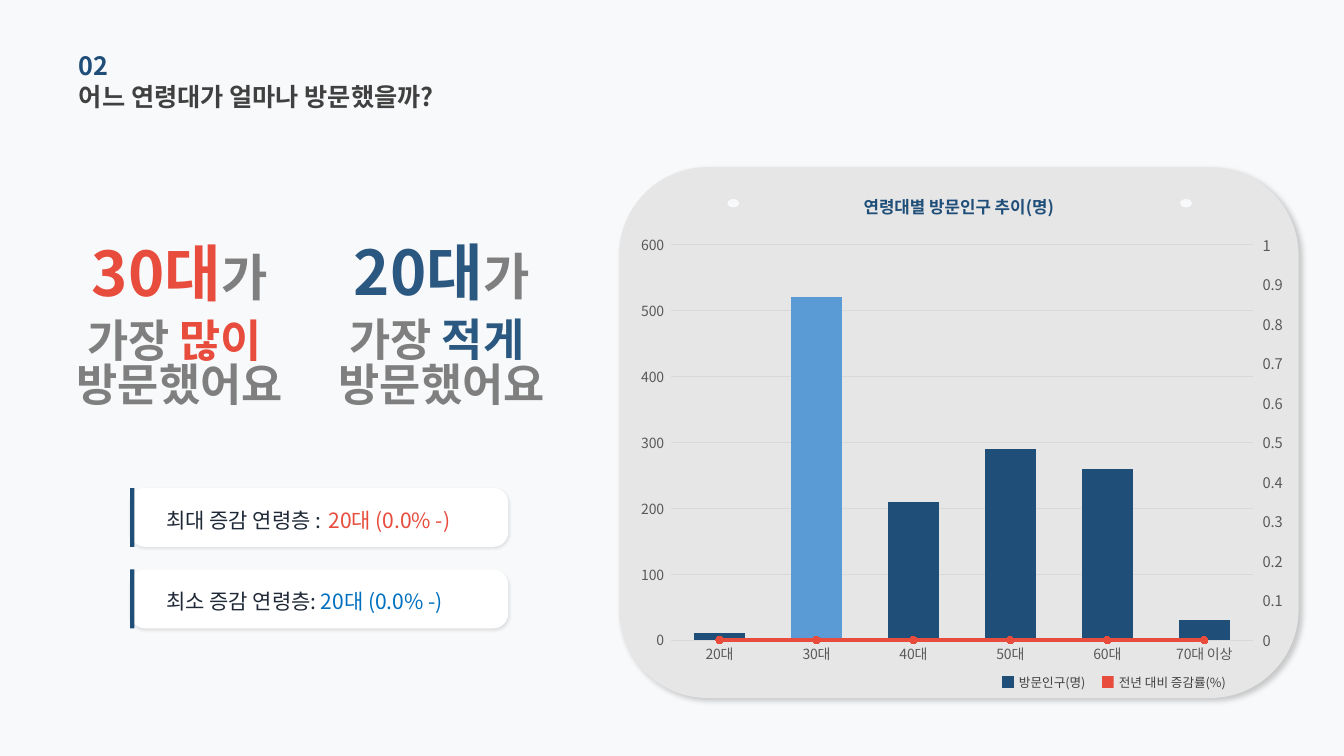
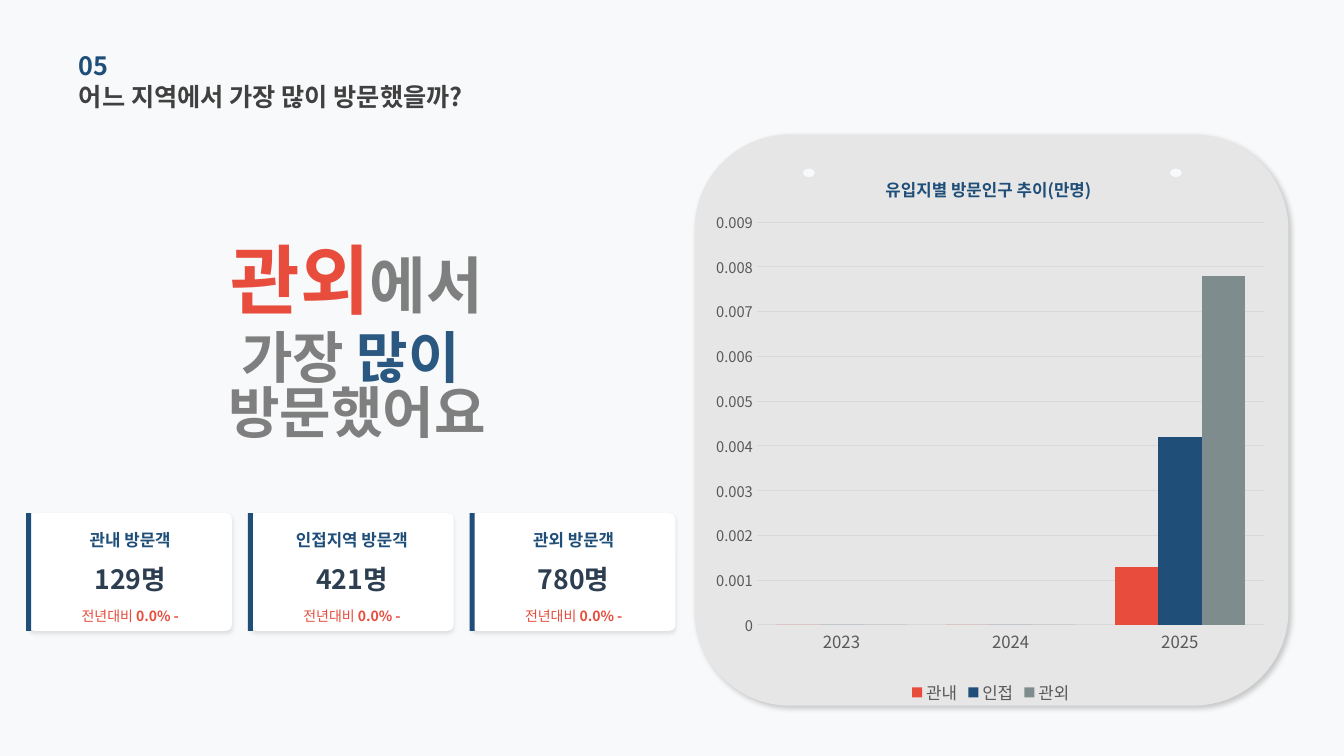
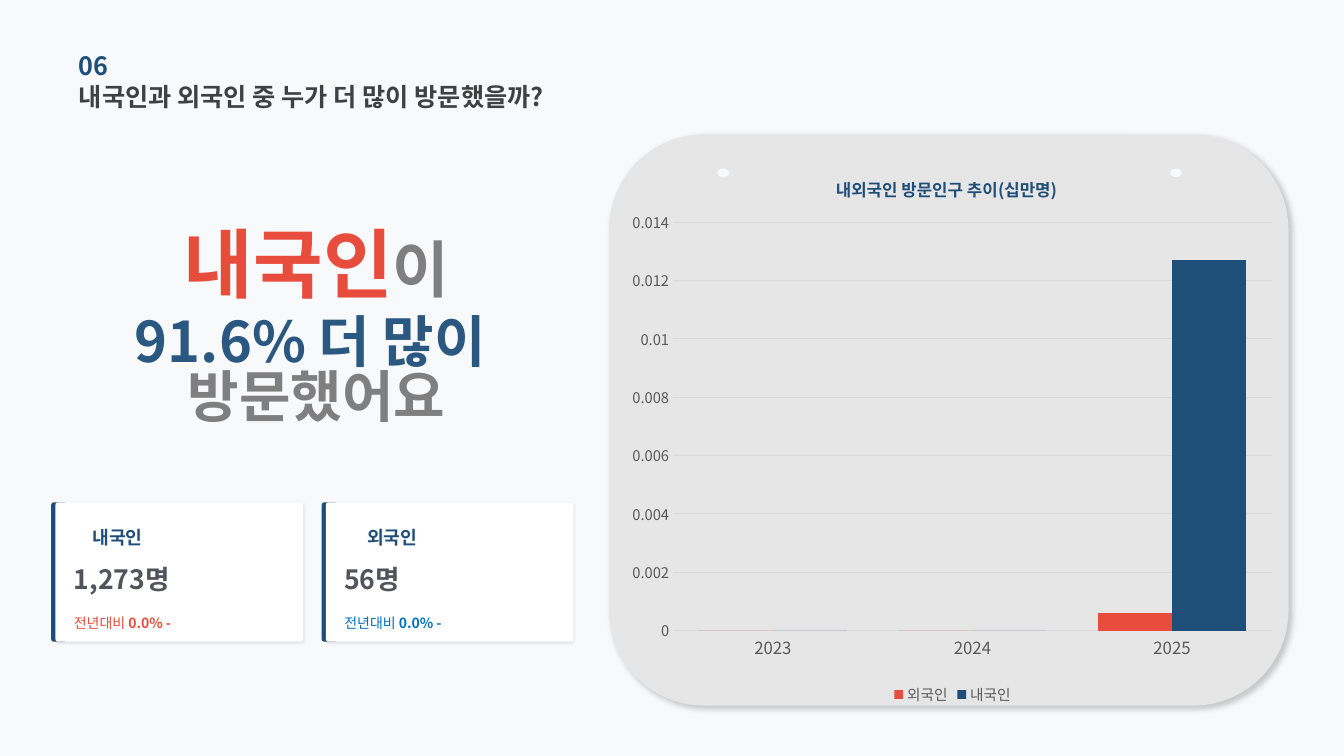
from dataclasses import dataclass

from lxml.etree import SubElement
from pptx import Presentation
from pptx.chart.axis import ValueAxis
from pptx.chart.data import CategoryChartData
from pptx.dml.color import RGBColor
from pptx.enum.chart import XL_CHART_TYPE, XL_LEGEND_POSITION, XL_MARKER_STYLE, XL_TICK_MARK
from pptx.enum.shapes import MSO_SHAPE
from pptx.enum.text import MSO_ANCHOR, MSO_AUTO_SIZE, PP_ALIGN
from pptx.oxml import parse_xml
from pptx.oxml.ns import nsdecls, qn
from pptx.util import Emu, Inches, Pt


@dataclass(frozen=True)
class Theme:
    """Colours, type sizes and font of the deck."""
    font: str = "Noto Sans CJK KR"
    page: str = "F8F9FA"
    panel: str = "E7E6E6"
    white: str = "FFFFFF"
    navy: str = "1F4E79"
    steel: str = "2B5880"
    sky: str = "5B9BD5"
    blue: str = "0070C0"
    red: str = "E74C3C"
    slate: str = "7F8C8D"
    title: str = "404040"
    gray: str = "7F7F7F"
    ink: str = "1F2937"
    count: str = "2C3E50"
    count_soft: str = "51545A"
    axis: str = "595959"
    rule: str = "D9D9D9"
    title_size: float = 18
    count_size: float = 19
    fact_size: float = 15
    label_size: float = 13
    small_label_size: float = 12
    change_size: float = 10
    legend_size: float = 9


THEME = Theme()
COLUMNS, ROWS = 160, 90
SLIDE_WIDTH, SLIDE_HEIGHT = Inches(13.333), Inches(7.5)


@dataclass(frozen=True)
class Box:
    """An area in columns and rows of the slide grid."""
    col: float
    row: float
    cols: float
    rows: float

    def emu(self) -> tuple[Emu, Emu, Emu, Emu]:
        """Return left, top, width and height."""
        across, down = SLIDE_WIDTH / COLUMNS, SLIDE_HEIGHT / ROWS
        return (Emu(round(self.col * across)), Emu(round(self.row * down)),
                Emu(round(self.cols * across)), Emu(round(self.rows * down)))


@dataclass(frozen=True)
class Run:
    """A stretch of text in one style."""
    text: str
    size: float
    color: str
    bold: bool = False


@dataclass(frozen=True)
class Shadow:
    """An outer shadow: percent of black, points and degrees."""
    alpha: int
    blur: float
    distance: float
    angle: int


PANEL_SHADOW = Shadow(20, 4, 3, 45)
SOFT_SHADOW = Shadow(10, 2, 1, 90)
DEEP_SHADOW = Shadow(10, 3, 2, 90)


@dataclass(frozen=True)
class CardStyle:
    """Measures shared by the cards of one slide."""
    cols: float
    rows: float
    radius: float
    shadow: Shadow
    accent_shift: float
    accent_cols: float
    slots: tuple[tuple[float, float], ...]
    align: PP_ALIGN = PP_ALIGN.LEFT
    accent_behind: bool = False


@dataclass(frozen=True)
class Line:
    """A line of a card with its indent in columns."""
    indent: float
    runs: tuple[Run, ...]


@dataclass(frozen=True)
class Headline:
    """A large lead line over two centred lines."""
    center: float
    row: float
    cols: float
    drop: float
    lead: tuple[Run, ...]
    body: tuple[tuple[Run, ...], ...]


@dataclass(frozen=True)
class Series:
    """A named row of chart values."""
    name: str
    values: tuple[float, ...]
    color: str


@dataclass(frozen=True)
class ColumnChart:
    """Content and measures of a column chart; plot and title are shares of the chart."""
    box: Box
    plot: tuple[float, float, float, float]
    categories: tuple[str, ...]
    series: tuple[Series, ...]
    gap: int
    top: float
    step: float
    overlap: int = 0
    category_size: float = 12
    value_size: float = 10.5
    number_format: str = "General"
    title: str = ""
    title_at: tuple[float, float] = (0, 0)
    legend_size: float = 0


def style_font(font, size: float, color: str, bold: bool = False) -> None:
    """Set size, colour, weight and both font faces."""
    font.size, font.bold, font.name = Pt(size), bold, THEME.font
    font.color.rgb = RGBColor.from_string(color)
    SubElement(font._rPr, qn("a:ea")).set("typeface", THEME.font)


def fill_text(frame, paragraphs: tuple[tuple[Run, ...], ...], align: PP_ALIGN,
              spacing: float = 1.0) -> None:
    """Write the paragraphs run by run into a frame without margins."""
    frame.word_wrap, frame.auto_size = True, MSO_AUTO_SIZE.NONE
    frame.vertical_anchor = MSO_ANCHOR.MIDDLE
    frame.margin_left = frame.margin_right = frame.margin_top = frame.margin_bottom = 0
    for index, runs in enumerate(paragraphs):
        paragraph = frame.add_paragraph() if index else frame.paragraphs[0]
        paragraph.alignment, paragraph.line_spacing = align, spacing
        for part in runs:
            run = paragraph.add_run()
            run.text = part.text
            style_font(run.font, part.size, part.color, part.bold)


def add_text(slide, box: Box, *paragraphs: tuple[Run, ...], align: PP_ALIGN = PP_ALIGN.LEFT,
             spacing: float = 1.0) -> None:
    """Add a text box."""
    fill_text(slide.shapes.add_textbox(*box.emu()).text_frame, paragraphs, align, spacing)


def add_block(slide, box: Box, color: str, kind: MSO_SHAPE = MSO_SHAPE.RECTANGLE,
              radius: float | None = None, shadow: Shadow | None = None) -> None:
    """Add a filled shape without outline."""
    block = slide.shapes.add_shape(kind, *box.emu())
    block.fill.solid()
    block.fill.fore_color.rgb = RGBColor.from_string(color)
    block.line.fill.background()
    block.shadow.inherit = False
    if radius is not None:
        block.adjustments[0] = radius
    if shadow:
        effects = block._element.spPr.find(qn("a:effectLst"))
        effects.append(parse_xml(
            f'<a:outerShdw {nsdecls("a")} blurRad="{Pt(shadow.blur)}" dist="{Pt(shadow.distance)}" '
            f'dir="{shadow.angle * 60000}" algn="tl" rotWithShape="0"><a:srgbClr val="000000">'
            f'<a:alpha val="{shadow.alpha * 1000}"/></a:srgbClr></a:outerShdw>'))


def start_slide(deck, number: str, question: str):
    """Add a slide with its number and question."""
    slide = deck.slides.add_slide(deck.slide_layouts[5])
    heading = slide.shapes.title
    heading.left, heading.top, heading.width, heading.height = Box(9.4, 9, 63.4, 4.9).emu()
    fill_text(heading.text_frame, ((Run(question, THEME.title_size, THEME.title, True),),),
              PP_ALIGN.LEFT)
    add_text(slide, Box(9.4, 5.3, 54.2, 4.9), (Run(number, THEME.title_size, THEME.navy, True),))
    return slide


def add_panel(slide, box: Box) -> None:
    """Add the rounded chart panel with two pin holes."""
    add_block(slide, box, THEME.panel, MSO_SHAPE.ROUNDED_RECTANGLE, shadow=PANEL_SHADOW)
    for col in (box.col + 12.9, box.col + box.cols - 14.1):
        add_block(slide, Box(col, box.row + box.rows * 0.06, 1.4, 1), THEME.page, MSO_SHAPE.OVAL)


def add_headline(slide, headline: Headline) -> None:
    """Add the large statement."""
    left = headline.center - headline.cols / 2
    add_text(slide, Box(left, headline.row, headline.cols, 5.8), headline.lead,
             align=PP_ALIGN.CENTER, spacing=0.95)
    add_text(slide, Box(left, headline.row + headline.drop, headline.cols, 10.1), *headline.body,
             align=PP_ALIGN.CENTER, spacing=0.82)


def add_card(slide, style: CardStyle, col: float, row: float, lines: tuple[Line, ...]) -> None:
    """Add a white card with an accent edge and its lines."""
    rounded = MSO_SHAPE.ROUNDED_RECTANGLE
    accent = Box(col + style.accent_shift, row, style.accent_cols, style.rows)
    if style.accent_behind:
        add_block(slide, accent, THEME.navy, rounded)
    add_block(slide, Box(col, row, style.cols, style.rows), THEME.white, rounded,
              style.radius, style.shadow)
    if not style.accent_behind:
        add_block(slide, accent, THEME.navy)
    for (drop, rows), line in zip(style.slots, lines):
        add_text(slide, Box(col + line.indent, row + drop, style.cols - line.indent, rows),
                 line.runs, align=style.align)


def change_runs(color: str) -> tuple[Run, ...]:
    """Return the runs of the year-on-year change."""
    return (Run("전년대비 ", THEME.change_size, color), Run("0.0% -", THEME.change_size, color, True))


def set_layout(parent, index: int, target: str, **shares: float) -> None:
    """Place a chart part by shares of the chart."""
    for old in parent.findall(qn("c:layout")):
        parent.remove(old)
    inner = f'<c:layoutTarget val="{target}"/>' if target else ""
    places = "".join(f'<c:{key} val="{share}"/>' for key, share in shares.items())
    parent.insert(index, parse_xml(
        f'<c:layout {nsdecls("c")}><c:manualLayout>{inner}<c:xMode val="edge"/>'
        f'<c:yMode val="edge"/>{places}</c:manualLayout></c:layout>'))


def style_value_axis(axis, size: float, top: float, step: float, tick: XL_TICK_MARK) -> None:
    """Set scale, ticks and labels of a value axis."""
    axis.minimum_scale, axis.maximum_scale, axis.major_unit = 0, top, step
    axis.major_tick_mark, axis.minor_tick_mark = tick, XL_TICK_MARK.NONE
    axis.format.line.fill.background()
    style_font(axis.tick_labels.font, size, THEME.axis)


def style_rule(line) -> None:
    """Draw a thin grey rule."""
    line.width = Pt(0.75)
    line.color.rgb = RGBColor.from_string(THEME.rule)


def add_columns(slide, spec: ColumnChart):
    """Add a column chart and return it."""
    data = CategoryChartData()
    data.categories = spec.categories
    for series in spec.series:
        data.add_series(series.name, series.values)
    chart = slide.shapes.add_chart(XL_CHART_TYPE.COLUMN_CLUSTERED, *spec.box.emu(), data).chart
    style_font(chart.font, 10, "000000")
    chart.has_legend = spec.legend_size > 0
    if chart.has_legend:
        chart.legend.position = XL_LEGEND_POSITION.BOTTOM
        chart.legend.include_in_layout = False
        style_font(chart.legend.font, spec.legend_size, THEME.axis)
    chart.has_title = bool(spec.title)
    if spec.title:
        run = chart.chart_title.text_frame.paragraphs[0].add_run()
        run.text = spec.title
        style_font(run.font, 12, THEME.navy, True)
        left, top = spec.title_at
        set_layout(chart.chart_title._element, 1, "", x=left, y=top)
    plot = chart.plots[0]
    plot.gap_width, plot.overlap, plot.vary_by_categories = spec.gap, spec.overlap, False
    for drawn, series in zip(plot.series, spec.series):
        drawn.format.fill.solid()
        drawn.format.fill.fore_color.rgb = RGBColor.from_string(series.color)
    categories, values = chart.category_axis, chart.value_axis
    categories.major_tick_mark = XL_TICK_MARK.NONE
    style_rule(categories.format.line)
    style_font(categories.tick_labels.font, spec.category_size, THEME.axis)
    style_value_axis(values, spec.value_size, spec.top, spec.step, XL_TICK_MARK.NONE)
    values.tick_labels.number_format = spec.number_format
    values.tick_labels.number_format_is_linked = False
    values.has_major_gridlines = True
    style_rule(values.major_gridlines.format.line)
    x, y, w, h = spec.plot
    set_layout(chart._chartSpace.chart.plotArea, 0, "inner", x=x, y=y, w=w, h=h)
    return chart


def move_to_right_axis(chart, color: str) -> None:
    """Turn the second series into a marked line on a right axis."""
    area = chart._chartSpace.chart.plotArea
    columns = area.find(qn("c:barChart"))
    rates = columns.findall(qn("c:ser"))[1]
    for name in ("c:invertIfNegative", "c:spPr"):
        for old in rates.findall(qn(name)):
            rates.remove(old)
    lines = parse_xml(
        f'<c:lineChart {nsdecls("c")}><c:grouping val="standard"/><c:varyColors val="0"/>'
        '<c:marker val="1"/><c:axId val="50010"/><c:axId val="50020"/></c:lineChart>')
    lines.insert(2, rates)
    columns.addnext(lines)
    scaling = '<c:scaling><c:orientation val="minMax"/></c:scaling>'
    right = parse_xml(
        f'<c:valAx {nsdecls("c")}><c:axId val="50020"/>{scaling}<c:delete val="0"/>'
        '<c:axPos val="r"/><c:numFmt formatCode="General" sourceLinked="0"/>'
        '<c:tickLblPos val="nextTo"/><c:crossAx val="50010"/><c:crosses val="max"/></c:valAx>')
    hidden = parse_xml(
        f'<c:catAx {nsdecls("c")}><c:axId val="50010"/>{scaling}<c:delete val="1"/>'
        '<c:axPos val="b"/><c:crossAx val="50020"/><c:crosses val="autoZero"/></c:catAx>')
    area.find(qn("c:valAx")).addnext(right)
    right.addnext(hidden)
    style_value_axis(ValueAxis(right), 10.5, 1, 0.1, XL_TICK_MARK.OUTSIDE)
    trend = chart.plots[1].series[0]
    trend.smooth = False
    trend.format.line.width = Pt(3)
    trend.format.line.color.rgb = RGBColor.from_string(color)
    trend.marker.style, trend.marker.size = XL_MARKER_STYLE.CIRCLE, 5
    for paint in (trend.marker.format.fill, trend.marker.format.line.fill):
        paint.solid()
        paint.fore_color.rgb = RGBColor.from_string(color)


def build_ages(deck) -> None:
    """Build the slide on age groups."""
    slide = start_slide(deck, "02", "어느 연령대가 얼마나 방문했을까?")
    add_panel(slide, Box(73.7, 19.9, 80.9, 63.2))
    visits = Series("방문인구(명)", (10, 520, 210, 290, 260, 30), THEME.navy)
    rates = Series("전년 대비 증감률(%)", (0,) * 6, THEME.red)
    for col, series in ((119.3, visits), (131.2, rates)):
        add_block(slide, Box(col, 80.5, 1.4, 1.4), series.color)
        add_text(slide, Box(col + 2, 80.2, 15, 2.2),
                 (Run(series.name, THEME.legend_size, THEME.title),))
    style = CardStyle(45, 7, 0.25, SOFT_SHADOW, 0, 0.5, ((2.4, 2.8), (2.4, 2.8)))
    facts = (("최대 증감 연령층 :", 23.6, THEME.red), ("최소 증감 연령층:", 22.7, THEME.blue))
    for index, (label, indent, color) in enumerate(facts):
        add_card(slide, style, 15.5, 58.1 + 9.7 * index, (
            Line(4.3, (Run(label, THEME.fact_size, THEME.ink),)),
            Line(indent, (Run("20대 (0.0% -)", THEME.fact_size, color),))))
    answers = ((21.4, 29.9, "30대", "많이", THEME.red), (52.6, 29.8, "20대", "적게", THEME.steel))
    for center, row, age, amount, color in answers:
        add_headline(slide, Headline(
            center, row, 31, 8.7, (Run(age, 44, color, True), Run("가", 36, THEME.gray, True)),
            ((Run("가장 ", 32, THEME.gray, True), Run(f"{amount} ", 32, color, True)),
             (Run("방문했어요", 32, THEME.gray, True),))))
    chart = add_columns(slide, ColumnChart(
        Box(75.1, 27, 79.6, 53.5), (0.06, 0.04, 0.87, 0.88),
        ("20대", "30대", "40대", "50대", "60대", "70대 이상"), (visits, rates), 90, 600, 100,
        overlap=-27, category_size=10, value_size=10, number_format="#,##0_ "))
    peak = chart.plots[0].series[0].points[1].format.fill
    peak.solid()
    peak.fore_color.rgb = RGBColor.from_string(THEME.sky)
    move_to_right_axis(chart, THEME.red)
    add_text(slide, Box(96.4, 22.8, 35.5, 3.6),
             (Run("연령대별 방문인구 추이(명)", THEME.small_label_size, THEME.navy, True),),
             align=PP_ALIGN.CENTER)


def build_regions(deck) -> None:
    """Build the slide on regions of origin."""
    slide = start_slide(deck, "05", "어느 지역에서 가장 많이 방문했을까?")
    add_panel(slide, Box(82.7, 16, 70.7, 68))
    add_headline(slide, Headline(
        42.5, 30.7, 66, 10.6, (Run("관외", 54, THEME.red, True), Run("에서", 44, THEME.gray, True)),
        ((Run("가장", 40, THEME.gray, True), Run(" 많이 ", 40, THEME.steel, True)),
         (Run("방문했어요", 40, THEME.gray, True),))))
    style = CardStyle(24.2, 14, 0.05, DEEP_SHADOW, -0.3, 0.6,
                      ((1.9, 2.6), (5.8, 4.1), (11, 2.4)), PP_ALIGN.CENTER)
    origins = (("관내 방문객", "129명"), ("인접지역 방문객", "421명"), ("관외 방문객", "780명"))
    for index, (label, count) in enumerate(origins):
        add_card(slide, style, 3.4 + 26.4 * index, 61.1, (
            Line(0, (Run(label, THEME.small_label_size, THEME.navy, True),)),
            Line(0, (Run(count, THEME.count_size, THEME.count, True),)),
            Line(0, change_runs(THEME.red))))
    add_columns(slide, ColumnChart(
        Box(84, 17.8, 67.9, 66.6), (0.09, 0.13, 0.89, 0.72), ("2023", "2024", "2025"),
        (Series("관내", (0, 0, 0.0013), THEME.red), Series("인접", (0, 0, 0.0042), THEME.navy),
         Series("관외", (0, 0, 0.0078), THEME.slate)), 90, 0.009, 0.001,
        title="유입지별 방문인구 추이(만명)", title_at=(0.31, 0.04), legend_size=12))


def build_nationalities(deck) -> None:
    """Build the slide on domestic and foreign visitors."""
    slide = start_slide(deck, "06", "내국인과 외국인 중 누가 더 많이 방문했을까?")
    add_panel(slide, Box(72.5, 16, 80.9, 68))
    add_headline(slide, Headline(
        37.7, 28.8, 66, 10.6, (Run("내국인", 54, THEME.red, True), Run("이", 44, THEME.gray, True)),
        ((Run("91.6% 더 많이 ", 40, THEME.steel, True),),
         (Run("방문했어요", 40, THEME.gray, True),))))
    style = CardStyle(29.5, 16.6, 0.02, SOFT_SHADOW, -0.5, 1.8,
                      ((2.4, 3.4), (6.8, 4.7), (13.1, 2.4)), accent_behind=True)
    visitors = (("내국인", 4.4, "1,273명", THEME.red), ("외국인", 4.9, "56명", THEME.blue))
    for index, (label, indent, count, color) in enumerate(visitors):
        add_card(slide, style, 6.6 + 32.2 * index, 59.8, (
            Line(indent, (Run(label, THEME.label_size, THEME.navy, True),)),
            Line(2.2, (Run(count, THEME.count_size, THEME.count_soft, True),)),
            Line(2.2, change_runs(color))))
    add_columns(slide, ColumnChart(
        Box(73.8, 17.8, 79.2, 66.6), (0.08, 0.13, 0.9, 0.73), ("2023", "2024", "2025"),
        (Series("외국인", (0, 0, 0.0006), THEME.red), Series("내국인", (0, 0, 0.0127), THEME.navy)),
        70, 0.014, 0.002,
        title="내외국인 방문인구 추이(십만명)", title_at=(0.32, 0.04), legend_size=10.5))


def main() -> None:
    """Build and save the deck."""
    deck = Presentation()
    deck.slide_width, deck.slide_height = SLIDE_WIDTH, SLIDE_HEIGHT
    page = deck.slide_master.background.fill
    page.solid()
    page.fore_color.rgb = RGBColor.from_string(THEME.page)
    for build in (build_ages, build_regions, build_nationalities):
        build(deck)
    deck.save("out.pptx")


if __name__ == "__main__":
    main()
